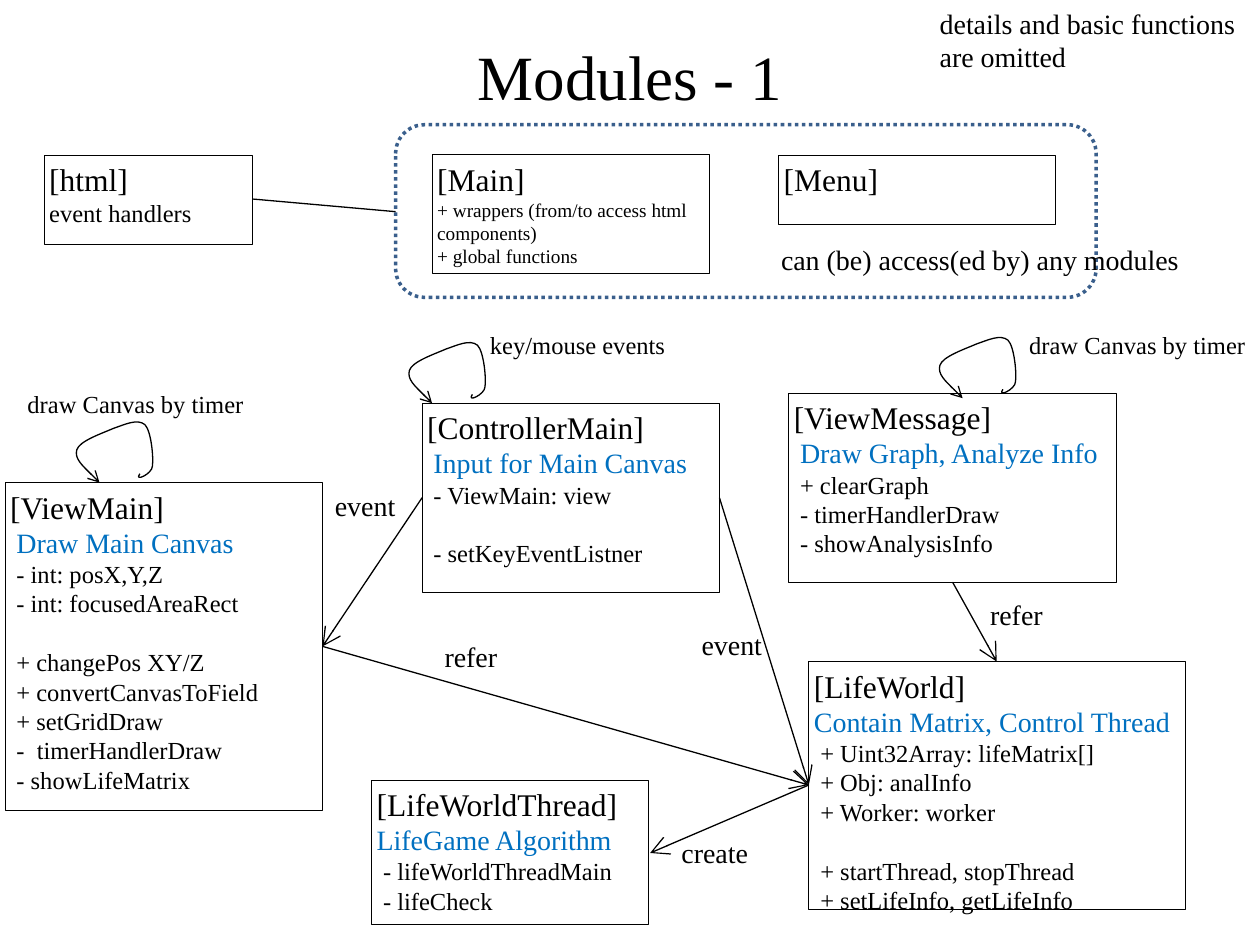
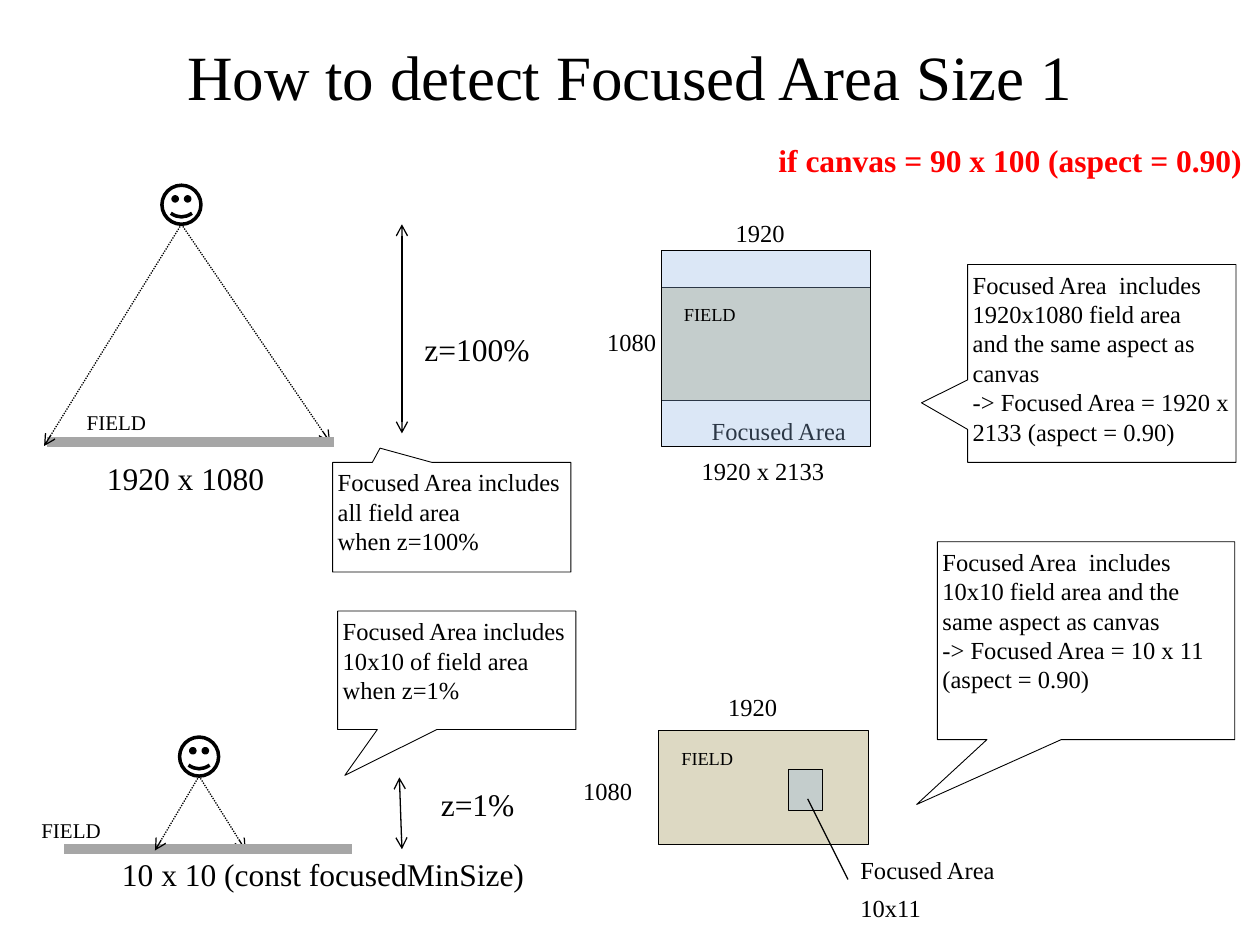
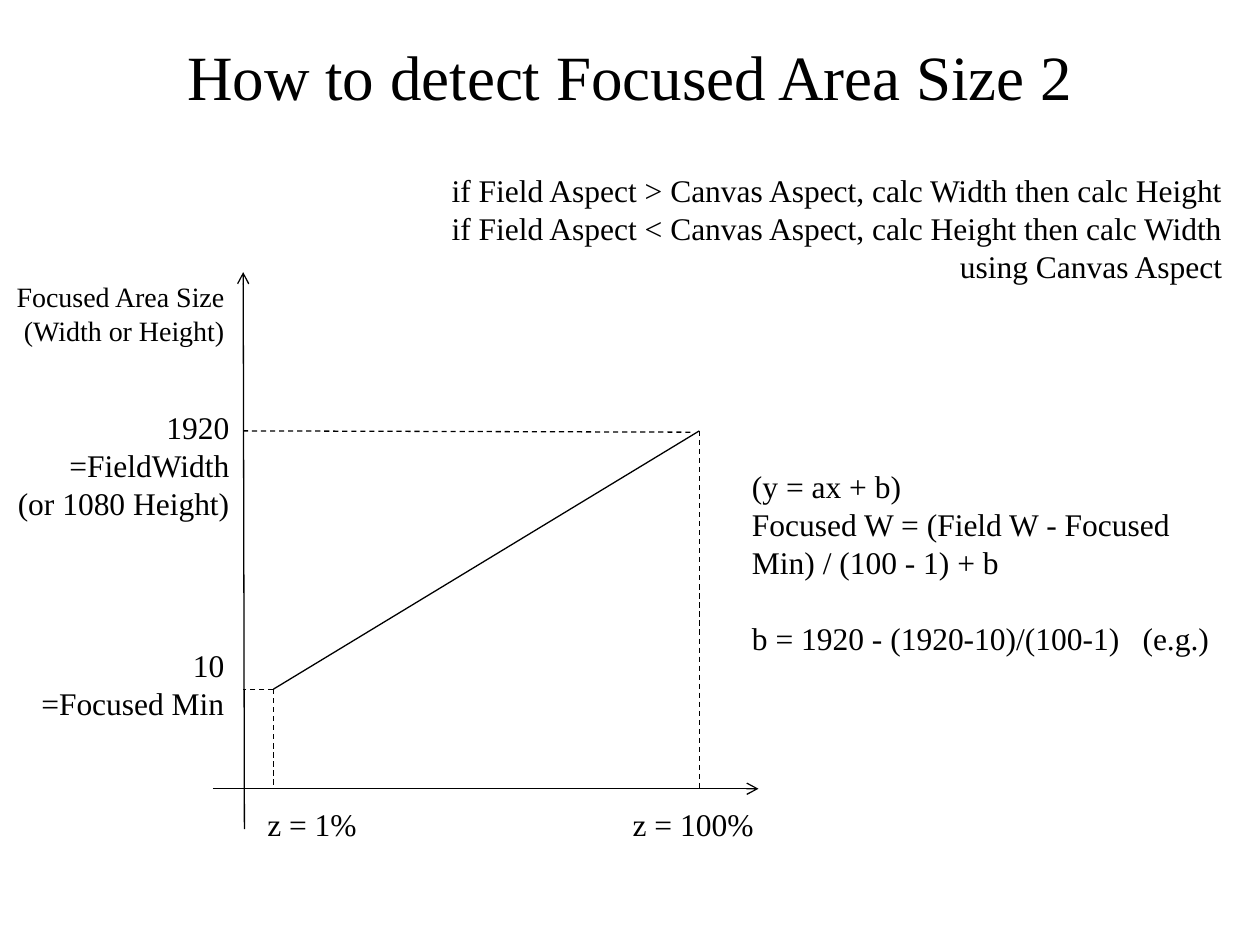
from dataclasses import dataclass
from typing import NamedTuple

from lxml import etree
from pptx import Presentation
from pptx import util as u
from pptx.dml.color import RGBColor
from pptx.enum import dml, shapes, text
from pptx.oxml.ns import qn

COLORS = {
    "ink": "000000", "paper": "FFFFFF", "role": "0070C0", "warning": "FF0000",
    "group": "3A5F8C", "field": "DDD9C3", "focus": "8EB4E3", "ground": "A6A6A6",
}
FONT = "Times New Roman"
THIN, NORMAL, BOLD, GROUND = 0.5, 0.75, 2, 6
DOTTED = dml.MSO_LINE.ROUND_DOT
DASHED = dml.MSO_LINE.DASH
LEFT, CENTER, RIGHT = text.PP_ALIGN.LEFT, text.PP_ALIGN.CENTER, text.PP_ALIGN.RIGHT
SHAPE = shapes.MSO_SHAPE
LINE_PITCH = 1.2  # height of a text line, as a multiple of the font size


class Box(NamedTuple):
    left: float
    top: float
    width: float
    height: float


class Point(NamedTuple):
    x: float
    y: float


@dataclass
class Line:
    """One paragraph; indent and tab stop in inches, gap of one line above."""
    text: str
    size: float = 14
    color: str = "ink"
    bold: bool = False
    indent: float = 0
    gap: bool = False
    tab_stop: float = 0


@dataclass
class Label:
    box: Box
    lines: list[str]
    size: float = 14
    wrap: bool = True
    align: text.PP_ALIGN = LEFT
    color: str = "ink"
    bold: bool = False


@dataclass
class Link:
    start: Point
    end: Point
    head: bool = False
    tail: bool = False
    dash: dml.MSO_LINE | None = None
    color: str = "ink"
    weight: float = NORMAL
    arrow_size: str = "med"


@dataclass
class Module:
    """A module box: name, role, and groups of members set apart by a gap."""
    box: Box
    name: str
    role: str = ""
    groups: tuple[tuple[str, ...], ...] = ()
    role_indent: float = 0.05
    member_indent: float = 0.05
    member_size: float = 14

    def lines(self) -> list[Line]:
        result = [Line(f"[{self.name}]", 18)]
        if self.role:
            result.append(Line(self.role, 16, "role", indent=self.role_indent))
        for g, group in enumerate(self.groups):
            for m, member in enumerate(group):
                result.append(Line(member, self.member_size, indent=self.member_indent,
                                   gap=g > 0 and m == 0))
        return result


@dataclass
class Callout:
    box: Box
    tip: tuple[float, float]
    lines: list[str]


@dataclass
class Viewer:
    """A face looking down on a strip of the field."""
    eye: Point
    left_foot: Point
    right_foot: Point
    ground: Point
    ground_width: float = 2.28


def rgb(name: str) -> RGBColor:
    return RGBColor.from_string(COLORS[name])


def inches(values) -> list[u.Length]:
    return [u.Inches(v) for v in values]


def set_line(line, color: str, weight: float, dash=None) -> None:
    line.color.rgb = rgb(color)
    line.width = u.Pt(weight)
    if dash is not None:
        line.dash_style = dash


def add_arrowheads(item, head: bool, tail: bool, size: str = "med") -> None:
    ln = item._element.spPr.find(qn("a:ln"))
    for tag, wanted in (("a:headEnd", head), ("a:tailEnd", tail)):
        if wanted:
            etree.SubElement(ln, qn(tag), type="arrow", w=size, len=size)


def write(frame, lines: list[Line], align=LEFT) -> None:
    for i, line in enumerate(lines):
        paragraph = frame.paragraphs[0] if i == 0 else frame.add_paragraph()
        paragraph.text = line.text
        paragraph.alignment = align
        if line.gap:
            paragraph.space_before = u.Pt(round(line.size * LINE_PITCH, 1))
        properties = paragraph._p.get_or_add_pPr()
        if line.indent:
            properties.set("marL", str(u.Inches(line.indent)))
        if line.tab_stop:
            stops = etree.SubElement(properties, qn("a:tabLst"))
            etree.SubElement(stops, qn("a:tab"), pos=str(u.Inches(line.tab_stop)), algn="l")
        font = paragraph.font
        font.name, font.size, font.bold = FONT, u.Pt(line.size), line.bold
        font.color.rgb = rgb(line.color)


def add_title(slide, title: str) -> None:
    frame = slide.shapes.add_textbox(*inches(Box(0.5, -0.03, 9, 1.25))).text_frame
    frame.word_wrap = True
    frame.vertical_anchor = text.MSO_ANCHOR.MIDDLE
    write(frame, [Line(title, 36)], CENTER)


def add_label(slide, label: Label) -> None:
    frame = slide.shapes.add_textbox(*inches(label.box)).text_frame
    frame.word_wrap = label.wrap
    frame.auto_size = text.MSO_AUTO_SIZE.SHAPE_TO_FIT_TEXT
    write(frame, [Line(t, label.size, label.color, label.bold) for t in label.lines], label.align)


def add_link(slide, link: Link) -> None:
    connector = slide.shapes.add_connector(
        shapes.MSO_CONNECTOR.STRAIGHT, *inches((*link.start, *link.end)))
    set_line(connector.line, link.color, link.weight, link.dash)
    add_arrowheads(connector, link.head, link.tail, link.arrow_size)
    etree.SubElement(connector._element.spPr, qn("a:effectLst"))


def add_outline(slide, kind, box: Box, fill: str | None = "paper", weight: float = THIN,
                color: str = "ink", dash=None, opacity: int = 100):
    shape = slide.shapes.add_shape(kind, *inches(box))
    shape.shadow.inherit = False
    if fill is None:
        shape.fill.background()
    else:
        shape.fill.solid()
        shape.fill.fore_color.rgb = rgb(fill)
        if opacity < 100:
            tint = shape._element.spPr.find(qn("a:solidFill"))[0]
            etree.SubElement(tint, qn("a:alpha"), val=str(opacity * 1000))
    set_line(shape.line, color, weight, dash)
    return shape


def add_text_box(slide, kind, box: Box, lines: list[Line]):
    shape = add_outline(slide, kind, box)
    frame = shape.text_frame
    frame.word_wrap = True
    frame.vertical_anchor = text.MSO_ANCHOR.TOP
    frame.margin_left = frame.margin_right = u.Inches(0.04)
    frame.margin_top = frame.margin_bottom = u.Inches(0.04)
    write(frame, lines)
    return shape


def add_callout(slide, callout: Callout) -> None:
    shape = add_text_box(slide, SHAPE.RECTANGULAR_CALLOUT, callout.box,
                         [Line(t) for t in callout.lines])
    shape.adjustments[0], shape.adjustments[1] = callout.tip


# Curve of a self-call, relative to the arrow tip: two controls and an end each
LOOP = (
    (-0.1, -0.1), (-0.2, -0.19), (-0.18, -0.26),
    (-0.16, -0.33), (0.02, -0.39), (0.11, -0.43),
    (0.2, -0.46), (0.3, -0.51), (0.36, -0.46),
    (0.41, -0.41), (0.43, -0.2), (0.42, -0.13),
    (0.42, -0.07), (0.27, 0), (0.32, -0.07),
)


def add_self_call(slide, tip: Point) -> None:
    builder = slide.shapes.build_freeform(*inches(tip))
    builder.add_line_segments([inches((tip.x + x, tip.y + y)) for x, y in LOOP], close=False)
    loop = builder.convert_to_shape()
    # Join each three segments into one Bezier curve
    segments = list(loop._element.spPr.iter(qn("a:lnTo")))
    for first in range(0, len(segments), 3):
        curve = segments[first]
        curve_points = [segment[0] for segment in segments[first:first + 3]]
        bezier = etree.Element(qn("a:cubicBezTo"))
        curve.addprevious(bezier)
        bezier.extend(curve_points)
        for segment in segments[first:first + 3]:
            segment.getparent().remove(segment)
    loop.shadow.inherit = False
    loop.fill.background()
    set_line(loop.line, "ink", NORMAL)
    add_arrowheads(loop, head=True, tail=False)


def add_viewer(slide, viewer: Viewer) -> None:
    size = 0.31
    eye, ground = viewer.eye, viewer.ground
    add_link(slide, Link(eye, viewer.right_foot, tail=True, dash=DOTTED))
    add_link(slide, Link(ground, Point(ground.x + viewer.ground_width, ground.y),
                         color="ground", weight=GROUND))
    add_outline(slide, SHAPE.SMILEY_FACE, Box(eye.x - size / 2, eye.y - size, size, size),
                weight=BOLD)
    add_link(slide, Link(eye, viewer.left_foot, tail=True, dash=DOTTED))


def build_modules(slide) -> None:
    add_title(slide, "Modules - 1")

    # Module boxes
    for module in (
        Module(Box(3.43, 1.23, 2.2, 0.94), "Main",
               groups=(("+ wrappers (from/to access html components)",
                        "+ global functions"),),
               member_indent=0, member_size=11),
        Module(Box(3.35, 3.2, 2.36, 1.5), "ControllerMain", "Input for Main Canvas",
               (("- ViewMain: view",), ("- setKeyEventListner",))),
        Module(Box(0.04, 3.83, 2.52, 2.6), "ViewMain", "Draw Main Canvas",
               (("- int: posX,Y,Z", "- int: focusedAreaRect"),
                ("+ changePos XY/Z", "+ convertCanvasToField", "+ setGridDraw",
                 "-  timerHandlerDraw", "- showLifeMatrix"))),
        Module(Box(6.42, 5.25, 2.99, 1.97), "LifeWorld", "Contain Matrix, Control Thread",
               (("+ Uint32Array: lifeMatrix[]", "+ Obj: analInfo", "+ Worker: worker"),
                ("+ startThread, stopThread", "+ setLifeInfo, getLifeInfo")),
               role_indent=0),
        Module(Box(0.35, 1.23, 1.65, 0.71), "html", groups=(("event handlers",),),
               member_indent=0),
        Module(Box(6.18, 1.23, 2.2, 0.55), "Menu"),
        Module(Box(6.26, 3.12, 2.6, 1.5), "ViewMessage", "Draw Graph, Analyze Info",
               (("+ clearGraph", "- timerHandlerDraw", "- showAnalysisInfo"),)),
        Module(Box(2.95, 6.19, 2.2, 1.15), "LifeWorldThread", "LifeGame Algorithm",
               (("- lifeWorldThreadMain", "- lifeCheck"),), role_indent=0),
    ):
        add_text_box(slide, SHAPE.RECTANGLE, module.box, module.lines())

    # Group of modules open to all
    add_outline(slide, SHAPE.ROUNDED_RECTANGLE, Box(3.14, 0.99, 5.56, 1.37), None,
                BOLD, "group", DOTTED)

    # Relations between modules
    life_world, view_main = Point(6.42, 6.23), Point(2.56, 5.13)
    for start, end in (
        (life_world, Point(5.16, 6.77)),
        (Point(3.35, 3.95), view_main),
        (Point(5.71, 3.95), life_world),
        (view_main, life_world),
        (Point(7.56, 4.62), Point(7.91, 5.25)),
    ):
        add_link(slide, Link(start, end, tail=True, arrow_size="lg"))
    add_link(slide, Link(Point(2.01, 1.58), Point(3.14, 1.68)))
    for left, top, width, name in (
        (2.56, 3.83, 1.57, "event"), (5.47, 4.93, 1.57, "event"),
        (7.76, 4.69, 1.57, "refer"), (3.43, 5.03, 1.57, "refer"),
        (5.31, 6.58, 0.98, "create"),
    ):
        add_label(slide, Label(Box(left, top, width, 0.37), [name], 16))

    # Self-calls
    for tip, label_box, trigger in (
        (Point(3.43, 3.2), Box(3.79, 2.57, 1.61, 0.34), "key/mouse events"),
        (Point(0.79, 3.83), Box(0.12, 3.04, 1.93, 0.34), "draw Canvas by timer"),
        (Point(7.64, 3.16), Box(8.07, 2.57, 1.93, 0.34), "draw Canvas by timer"),
    ):
        add_self_call(slide, tip)
        add_label(slide, Label(label_box, [trigger], wrap=False))

    # Remarks
    add_label(slide, Label(Box(6.1, 1.88, 3.41, 0.37),
                           ["can (be) access(ed by) any modules"], 16, wrap=False))
    add_label(slide, Label(Box(7.36, 0, 2.64, 0.64),
                           ["details and basic functions are omitted"], 16))


def build_focus_size(slide) -> None:
    add_title(slide, "How to detect Focused Area Size 1")

    # Field maps; the focused area lies over the first label
    add_outline(slide, SHAPE.RECTANGLE, Box(5.25, 2.28, 1.66, 0.9), "field")
    add_label(slide, Label(Box(5.55, 3.25, 1.42, 0.34), ["Focused Area"]))
    add_outline(slide, SHAPE.RECTANGLE, Box(5.25, 1.99, 1.66, 1.55), "focus", opacity=31)
    add_outline(slide, SHAPE.RECTANGLE, Box(5.23, 5.8, 1.66, 0.9), "field")
    add_outline(slide, SHAPE.RECTANGLE, Box(6.26, 6.11, 0.27, 0.32), "focus", opacity=31)
    add_link(slide, Link(Point(6.41, 6.34), Point(6.73, 6.98)))

    # Viewers at full and least height
    add_viewer(slide, Viewer(Point(1.44, 1.78), Point(0.35, 3.54), Point(2.62, 3.51),
                             Point(0.37, 3.51)))
    add_viewer(slide, Viewer(Point(1.58, 6.16), Point(1.23, 6.75), Point(1.95, 6.75),
                             Point(0.51, 6.74)))
    add_link(slide, Link(Point(3.19, 1.78), Point(3.19, 3.44), head=True, tail=True))
    add_link(slide, Link(Point(3.17, 6.17), Point(3.19, 6.74), head=True, tail=True))

    # Explanations
    for callout in (
        Callout(Box(7.68, 2.1, 2.13, 1.57), (-0.672, 0.199),
                ["Focused Area  includes 1920x1080 field area",
                 "and the same aspect as canvas",
                 "-> Focused Area = 1920 x 2133 (aspect = 0.90)"]),
        Callout(Box(2.64, 3.67, 1.89, 0.87), (-0.301, -0.63),
                ["Focused Area includes all field area", "when z=100%"]),
        Callout(Box(7.44, 4.3, 2.36, 1.57), (-0.57, 0.828),
                ["Focused Area  includes 10x10 field area and the same aspect as canvas",
                 "-> Focused Area = 10 x 11 (aspect = 0.90)"]),
        Callout(Box(2.68, 4.85, 1.89, 0.94), (-0.47, 0.887),
                ["Focused Area includes 10x10 of field area", "when z=1%"]),
    ):
        add_callout(slide, callout)

    # Sizes and names on the maps
    for left, top, width, name in (
        (5.74, 1.68, 0.77, "1920"), (4.72, 2.55, 0.63, "1080"),
        (5.47, 3.57, 1.24, "1920 x 2133"),
        (5.68, 5.44, 0.77, "1920"), (4.53, 6.11, 0.63, "1080"),
        (6.73, 6.74, 1.42, "Focused Area"), (6.73, 7.04, 0.9, "10x11"),
    ):
        add_label(slide, Label(Box(left, top, width, 0.34), [name]))
    for box, size in (
        (Box(5.33, 2.36, 0.64, 0.29), 10.5), (Box(5.31, 5.88, 0.64, 0.29), 10.5),
        (Box(0.59, 3.2, 0.94, 0.3), 12), (Box(0.23, 6.44, 0.94, 0.3), 12),
    ):
        add_label(slide, Label(box, ["FIELD"], size))

    # Heights, covered sizes and the assumption
    for left, top, width, name in (
        (3.27, 2.57, 1.05, "z=100%"), (0.75, 3.59, 1.46, "1920 x 1080"),
        (3.4, 6.18, 0.79, "z=1%"), (0.87, 6.74, 3.43, "10 x 10 (const focusedMinSize)"),
    ):
        add_label(slide, Label(Box(left, top, width, 0.4), [name], 18, wrap=False))
    add_label(slide, Label(Box(6.08, 1.07, 3.92, 0.4), ["if canvas = 90 x 100 (aspect = 0.90)"],
                           18, wrap=False, color="warning", bold=True))


def build_focus_graph(slide) -> None:
    add_title(slide, "How to detect Focused Area Size 2")

    # Axes, graph and guides
    axis_x, axis_y = 1.93, 6.26
    low, high = Point(2.17, 5.47), Point(5.55, 3.42)
    add_link(slide, Link(Point(1.69, axis_y), Point(6.02, axis_y), tail=True))
    add_link(slide, Link(Point(1.94, 6.58), Point(axis_x, 2.16), tail=True))
    add_link(slide, Link(low, high))
    for start, end in (
        (low, Point(low.x, axis_y)), (high, Point(high.x, axis_y)),
        (Point(5.48, 3.43), Point(axis_x, high.y)), (low, Point(axis_x, low.y)),
    ):
        add_link(slide, Link(start, end, dash=DASHED))

    # Axis labels and the rule
    for box, size, lines in (
        (Box(0.02, 3.19, 1.9, 1.01), 18, ["1920", "=FieldWidth", "(or 1080 Height)"]),
        (Box(0.21, 5.08, 1.67, 0.71), 18, ["10", "=Focused Min"]),
        (Box(2.01, 6.34, 0.92, 0.4), 18, ["z = 1%"]),
        (Box(4.91, 6.34, 1.17, 0.4), 18, ["z = 100%"]),
        (Box(0.01, 2.17, 1.87, 0.64), 16, ["Focused Area Size", "(Width or Height)"]),
        (Box(3.42, 1.31, 6.38, 1.01), 18,
         ["if Field Aspect > Canvas Aspect, calc Width then calc Height",
          "if Field Aspect < Canvas Aspect, calc Height then calc Width",
          "using Canvas Aspect"]),
    ):
        add_label(slide, Label(box, lines, size, wrap=False, align=RIGHT))

    # Formula
    frame = slide.shapes.add_textbox(*inches(Box(5.87, 3.66, 3.94, 1.62))).text_frame
    frame.word_wrap = True
    write(frame, [
        Line("(y = ax + b)", 18),
        Line("Focused W = (Field W - Focused Min) / (100 - 1) + b", 18),
        Line("b = 1920 - (1920-10)/(100-1)\t(e.g.)", 18, gap=True, tab_stop=3.1),
    ])


deck = Presentation()
deck.slide_width, deck.slide_height = u.Inches(10), u.Inches(7.5)
for build in (build_modules, build_focus_size, build_focus_graph):
    build(deck.slides.add_slide(deck.slide_layouts[6]))
deck.save("out.pptx")
